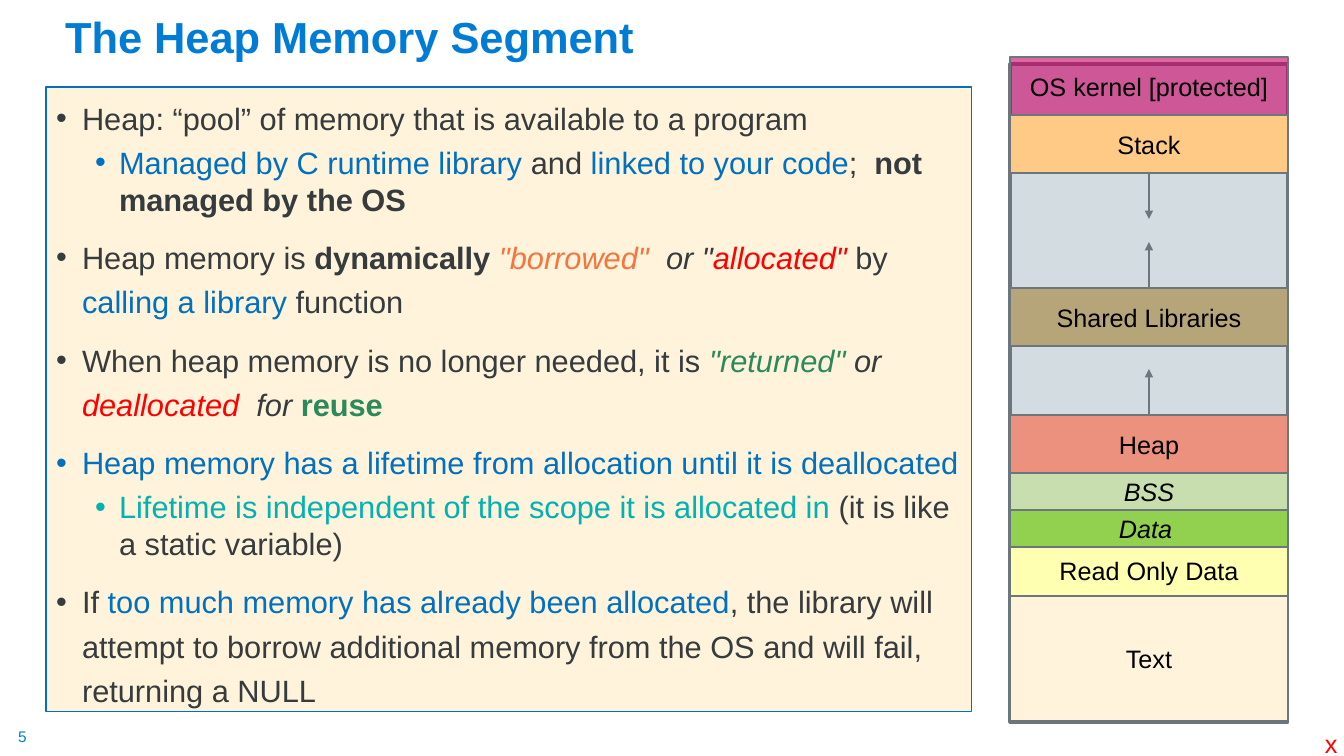
from dataclasses import dataclass

import pptx
import pptx.dml.color
import pptx.enum.shapes
import pptx.enum.text
import pptx.oxml
import pptx.oxml.ns
import pptx.util
from lxml import etree

RGB = pptx.dml.color.RGBColor
ANCHOR = pptx.enum.text.MSO_ANCHOR
FIT = pptx.enum.text.MSO_AUTO_SIZE
ALIGN = pptx.enum.text.PP_ALIGN
RECT = pptx.enum.shapes.MSO_SHAPE.RECTANGLE
LINE = pptx.enum.shapes.MSO_CONNECTOR.STRAIGHT
qn = pptx.oxml.ns.qn

SCALE = 914400 / 100.8  # EMU in one px
FACE = "Arial"
BLACK = RGB(0x00, 0x00, 0x00)
DARK = RGB(0x36, 0x3B, 0x3E)
SKY = RGB(0x00, 0x7C, 0xD5)
BLUE = RGB(0x00, 0x70, 0xC0)
TEAL = RGB(0x00, 0xB2, 0xB1)
GREEN = RGB(0x2C, 0x89, 0x5B)
AMBER = RGB(0xF3, 0x75, 0x3F)
RED = RGB(0xFF, 0x00, 0x00)
CREAM = RGB(0xFF, 0xF4, 0xDB)
STEEL = RGB(0x6B, 0x76, 0x7D)
MIST = RGB(0xD3, 0xDC, 0xE1)
PINK = RGB(0xCC, 0x00, 0x66)
PEACH = RGB(0xFF, 0xCA, 0x86)
TAN = RGB(0xB7, 0xA5, 0x7A)
CORAL = RGB(0xED, 0x91, 0x7F)
SAGE = RGB(0xC9, 0xDE, 0xAE)
LIME = RGB(0x92, 0xD0, 0x50)
LEMON = RGB(0xFF, 0xFF, 0xB2)


@dataclass
class Run:
    text: str
    color: RGB = DARK
    bold: bool = False
    slant: bool = False


@dataclass
class Item:
    level: int
    runs: list[Run]


@dataclass
class Level:
    left: int
    hang: int
    space: float
    before: int


@dataclass
class Block:
    name: str
    top: int
    height: int
    fill: RGB
    slant: bool = False
    alpha: int = 100


@dataclass
class Arrow:
    base: int
    tip: int


@dataclass
class Label:
    text: str
    box: tuple[int, int, int, int]
    size: int
    color: RGB
    inset: bool


LEVELS = [Level(26, 26, 1.2, 10), Level(63, 24, 1.0, 5)]

ITEMS = [
    Item(0, [Run("Heap: “pool” of memory that is available to a program")]),
    Item(1, [Run("Managed by C runtime library ", BLUE), Run("and "),
             Run("linked to your code", BLUE), Run("; "),
             Run(" not managed by the OS", bold=True)]),
    Item(0, [Run("Heap memory is "), Run("dynamically ", bold=True),
             Run('"borrowed"', AMBER, slant=True), Run('  or "', slant=True),
             Run('allocated" ', RED, slant=True), Run("by "),
             Run("calling a library ", BLUE), Run("function")]),
    Item(0, [Run("When heap memory is no longer needed, it is "),
             Run('"returned" ', GREEN, slant=True), Run("or ", slant=True),
             Run("deallocated", RED, slant=True), Run("  for ", slant=True),
             Run("reuse", GREEN, bold=True)]),
    Item(0, [Run("Heap memory has a lifetime from allocation until it is deallocated", BLUE)]),
    Item(1, [Run("Lifetime is independent of the scope it is allocated in ", TEAL),
             Run("(it is like a static variable)")]),
    Item(0, [Run("If "), Run("too much memory has already been allocated", BLUE),
             Run(", the library will attempt to borrow additional memory"
                 " from the OS and will fail, returning a NULL")]),
]

BLOCKS = [
    Block("", 64, 658, MIST),
    Block("OS kernel [protected]", 57, 58, PINK, alpha=60),
    Block("Stack", 115, 58, PEACH),
    Block("Heap", 415, 58, CORAL),
    Block("BSS", 473, 37, SAGE, slant=True),
    Block("Shared Libraries", 288, 58, TAN),
    Block("Read Only Data", 544, 52, LEMON),
    Block("Text", 596, 125, CREAM),
    Block("Data ", 510, 37, LIME, slant=True),
]

ARROWS = [Arrow(173, 219), Arrow(288, 242), Arrow(415, 369)]

LABELS = [
    Label("5", (18, 727, 19, 19), 11, SKY, False),
    Label("x", (1315, 723, 33, 40), 18, RED, True),
]


def px(count: int) -> int:
    return round(count * SCALE)


def place(shape, left: int, top: int, width: int, height: int) -> None:
    shape.left, shape.top = px(left), px(top)
    shape.width, shape.height = px(width), px(height)


def style(font, size: int, color: RGB | None = None) -> None:
    font.name = FACE
    font.size = pptx.util.Pt(size)
    if color is not None:
        font.color.rgb = color


def paint(shape, fill: RGB, line: RGB, weight: float) -> None:
    shape.fill.solid()
    shape.fill.fore_color.rgb = fill
    shape.line.color.rgb = line
    shape.line.width = pptx.util.Pt(weight)


def add_title(shape) -> None:
    place(shape, 55, 10, 778, 58)
    frame = shape.text_frame
    frame.text = "The Heap Memory Segment"
    frame.auto_size = FIT.NONE
    frame.vertical_anchor = ANCHOR.BOTTOM
    para = frame.paragraphs[0]
    para.alignment = ALIGN.LEFT
    para.line_spacing = 0.9
    style(para.font, 31, SKY)
    para.font.bold = True


def add_item(para, item: Item, first: bool) -> None:
    level = LEVELS[item.level]
    para.level = item.level
    props = para._p.get_or_add_pPr()
    props.set("marL", str(px(level.left)))
    props.set("indent", str(-px(level.hang)))
    etree.SubElement(props, qn("a:buFont"), typeface=FACE)
    etree.SubElement(props, qn("a:buChar"), char="•")
    para.line_spacing = level.space
    para.space_before = pptx.util.Pt(0 if first else level.before)
    style(para.font, 22)
    for part in item.runs:
        run = para.add_run()
        run.text = part.text
        run.font.color.rgb = part.color
        run.font.bold = part.bold
        run.font.italic = part.slant


def add_list(shape) -> None:
    place(shape, 46, 87, 926, 625)
    paint(shape, CREAM, BLUE, 0.75)
    frame = shape.text_frame
    frame.auto_size = FIT.NONE
    for order, item in enumerate(ITEMS):
        para = frame.add_paragraph() if order else frame.paragraphs[0]
        add_item(para, item, order == 0)


def add_block(slide, block: Block) -> None:
    shape = slide.shapes.add_shape(RECT, px(1010), px(block.top), px(278), px(block.height))
    shape.shadow.inherit = False
    paint(shape, block.fill, STEEL, 1.5 if block.name else 2.25)
    if block.alpha < 100:
        color = shape.fill._xPr.find(".//" + qn("a:srgbClr"))
        etree.SubElement(color, qn("a:alpha"), val=str(block.alpha * 1000))
    if block.name:
        frame = shape.text_frame
        frame.text = block.name
        frame.vertical_anchor = ANCHOR.MIDDLE
        para = frame.paragraphs[0]
        para.alignment = ALIGN.CENTER
        style(para.font, 18, BLACK)
        para.font.italic = block.slant


def add_arrow(slide, arrow: Arrow) -> None:
    link = slide.shapes.add_connector(LINE, px(1149), px(arrow.base), px(1149), px(arrow.tip))
    link.line.color.rgb = STEEL
    link.line.width = pptx.util.Pt(2)
    etree.SubElement(link.line._get_or_add_ln(), qn("a:tailEnd"), type="triangle")
    etree.SubElement(link._element.spPr, qn("a:effectLst"))


def add_label(slide, label: Label) -> None:
    shape = slide.shapes.add_textbox(*map(px, label.box))
    frame = shape.text_frame
    frame.text = label.text
    frame.word_wrap = False
    frame.auto_size = FIT.SHAPE_TO_FIT_TEXT
    if not label.inset:
        frame.margin_left = frame.margin_right = frame.margin_top = frame.margin_bottom = 0
    style(frame.paragraphs[0].font, label.size, label.color)


def main() -> None:
    deck = pptx.Presentation()
    deck.slide_width, deck.slide_height = px(1344), px(756)
    slide = deck.slides.add_slide(deck.slide_layouts[1])
    # Title and list
    add_title(slide.shapes.title)
    add_list(slide.placeholders[1])
    # Memory map
    for block in BLOCKS:
        add_block(slide, block)
    for arrow in ARROWS:
        add_arrow(slide, arrow)
    # Page number and corner mark
    for label in LABELS:
        add_label(slide, label)
    deck.save("out.pptx")


if __name__ == "__main__":
    main()
